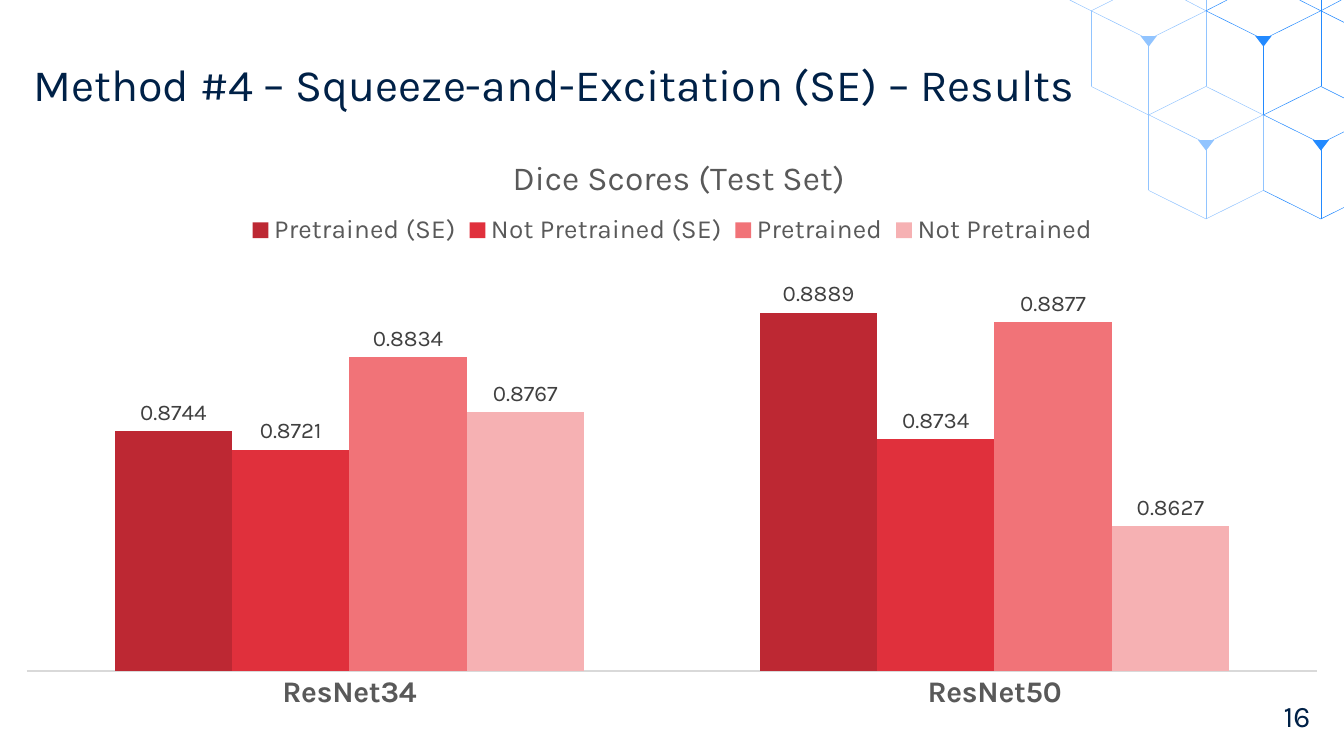
"""Build the squeeze-and-excitation results slide with its chart and cube lattice."""
from lxml import etree
from pptx import Presentation
from pptx.chart.data import CategoryChartData
from pptx.dml.color import RGBColor
from pptx.enum import chart as charts, shapes, text
from pptx.oxml import parse_xml
from pptx.oxml.ns import nsdecls, qn
from pptx.util import Pt

FONT = "Karla"
NAVY, GREY, LIGHT, BLUE = "002147", "595959", "91C4FF", "238AFF"


def style(font, size, color, bold=False):
    font.name, font.size, font.bold = FONT, Pt(size), bold
    font.color.rgb = RGBColor.from_string(color)


def manual_layout(x, y, width=None, height=None, inner=False):
    values = [("layoutTarget", "inner")] if inner else []
    values += [("xMode", "edge"), ("yMode", "edge"), ("x", x), ("y", y)]
    if width:
        values += [("w", width), ("h", height)]
    children = "".join(f'<c:{tag} val="{value}"/>' for tag, value in values)
    return parse_xml(f'<c:layout {nsdecls("c")}><c:manualLayout>{children}</c:manualLayout></c:layout>')


presentation = Presentation()
presentation.slide_width, presentation.slide_height = Pt(720), Pt(405)
slide = presentation.slides.add_slide(presentation.slide_layouts[6])

LEFT, TOP, STEP, RISE, SIDE, ROW = 584.6, 5.8, 30.75, 15.3, 40.5, 55.7
columns = [LEFT + STEP * index for index in range(5)]
edges = [
    (573.1, 0, columns[0], TOP, LIGHT),
    (596.2, 0, columns[0], TOP, LIGHT),
    (635, 0, columns[2], TOP, LIGHT),
    (columns[2], 0, columns[2], TOP, LIGHT),
    (657.4, 0, columns[2], TOP, BLUE),
    (696.2, 0, columns[4], TOP, BLUE),
    (columns[4], 0, columns[4], TOP, BLUE),
    (718.6, 0, columns[4], TOP, BLUE),
    (columns[4], TOP, 720, 12, BLUE),
    (columns[4], TOP + SIDE, 720, 52.5, BLUE),
]
cubes = [(1, 0, LIGHT, LIGHT), (3, 0, BLUE, LIGHT), (2, 1, LIGHT, LIGHT), (4, 1, BLUE, BLUE)]
for column, row, color, corner_color in cubes:
    center, top = columns[column], TOP + ROW * row
    left, right = center - STEP, min(center + STEP, 720)
    middle = top + RISE
    right_top = middle - RISE * (right - center) / STEP
    edges += [
        (left, top, center, middle, color),
        (center, middle, right, right_top, color),
        (center, middle, center, middle + SIDE, color),
        (left, top + SIDE, center, middle + SIDE, corner_color),
        (center, middle + SIDE, right, right_top + SIDE, color),
    ]
    if column == 1:
        edges.append((left, top, left, top + SIDE, color))
    if column == 2:
        edges.append((left, top, left, top + SIDE, color))
    if column < 4:
        edges.append((right, top, right, top + SIDE, color))

for x1, y1, x2, y2, color in edges:
    line = slide.shapes.add_connector(
        shapes.MSO_CONNECTOR.STRAIGHT, Pt(x1), Pt(y1), Pt(x2), Pt(y2))
    line.line.width = Pt(0.25)
    line.line.color.rgb = RGBColor.from_string(color)
    etree.SubElement(line._element.spPr, qn("a:effectLst"))

for column, row, color, _ in cubes:
    triangle = slide.shapes.add_shape(
        shapes.MSO_SHAPE.ISOSCELES_TRIANGLE,
        Pt(columns[column] - 4.3), Pt(19.4 + ROW * row), Pt(8.6), Pt(5.6))
    triangle.rotation = 180
    triangle.shadow.inherit = False
    triangle.fill.solid()
    triangle.fill.fore_color.rgb = RGBColor.from_string(color)
    triangle.line.fill.background()

labels = [
    ("16", 661.7, 361.4, 40.3, 43.9, 16, text.PP_ALIGN.RIGHT, 1),
    ("Method #4 – Squeeze-and-Excitation (SE) – Results", 18, 18, 674, 57.6, 24, text.PP_ALIGN.LEFT, 0.9),
]
for words, x, y, width, height, size, alignment, spacing in labels:
    box = slide.shapes.add_textbox(Pt(x), Pt(y), Pt(width), Pt(height))
    frame = box.text_frame
    frame.word_wrap = True
    frame.vertical_anchor = text.MSO_ANCHOR.MIDDLE
    frame.margin_left = frame.margin_right = frame.margin_top = frame.margin_bottom = 0
    paragraph = frame.paragraphs[0]
    paragraph.alignment, paragraph.line_spacing = alignment, spacing
    run = paragraph.add_run()
    run.text = words
    style(run.font, size, NAVY)

scores = [
    ("Pretrained (SE)", (0.8744, 0.8889), "BD2833"),
    ("Not Pretrained (SE)", (0.8721, 0.8734), "E0303C"),
    ("Pretrained", (0.8834, 0.8877), "F17378"),
    ("Not Pretrained", (0.8767, 0.8627), "F6B1B3"),
]
data = CategoryChartData(number_format="0.0000")
data.categories = ["ResNet34", "ResNet50"]
for name, values, _ in scores:
    data.add_series(name, values)
chart = slide.shapes.add_chart(
    charts.XL_CHART_TYPE.COLUMN_CLUSTERED, Pt(0), Pt(65.5), Pt(720), Pt(321.8), data).chart
style(chart.font, 10, "000000")

chart.has_title = True
run = chart.chart_title.text_frame.paragraphs[0].add_run()
run.text = "Dice Scores (Test Set)"
style(run.font, 18, GREY)
title = chart.chart_title._element
for layout in title.findall(qn("c:layout")):
    title.remove(layout)
title.find(qn("c:tx")).addnext(manual_layout(0.377, 0.046))

chart.has_legend = True
chart.legend.position = charts.XL_LEGEND_POSITION.TOP
chart.legend.include_in_layout = False
style(chart.legend.font, 14, GREY)
legend = chart.legend._element
for layout in legend.findall(qn("c:layout")):
    legend.remove(layout)
legend.find(qn("c:legendPos")).addnext(manual_layout(0.178, 0.15, 0.645, 0.06))

category_axis, value_axis = chart.category_axis, chart.value_axis
category_axis.major_tick_mark = charts.XL_TICK_MARK.NONE
category_axis.format.line.width = Pt(0.75)
category_axis.format.line.color.rgb = RGBColor.from_string("D9D9D9")
style(category_axis.tick_labels.font, 16, GREY, True)
value_axis.visible = False
value_axis.has_major_gridlines = False
value_axis.minimum_scale, value_axis.maximum_scale = 0.845, 0.895

plot = chart.plots[0]
plot.gap_width, plot.overlap, plot.vary_by_categories = 150, 0, False
for series, (_, _, color) in zip(plot.series, scores):
    series.format.fill.solid()
    series.format.fill.fore_color.rgb = RGBColor.from_string(color)
    series.data_labels.show_value = True
    series.data_labels.position = charts.XL_LABEL_POSITION.OUTSIDE_END
    style(series.data_labels.font, 12, "404040")

plot_area = chart._chartSpace.chart.plotArea
for layout in plot_area.findall(qn("c:layout")):
    plot_area.remove(layout)
plot_area.insert(0, manual_layout(0.02, 0.234, 0.96, 0.68, inner=True))

presentation.save("out.pptx")
